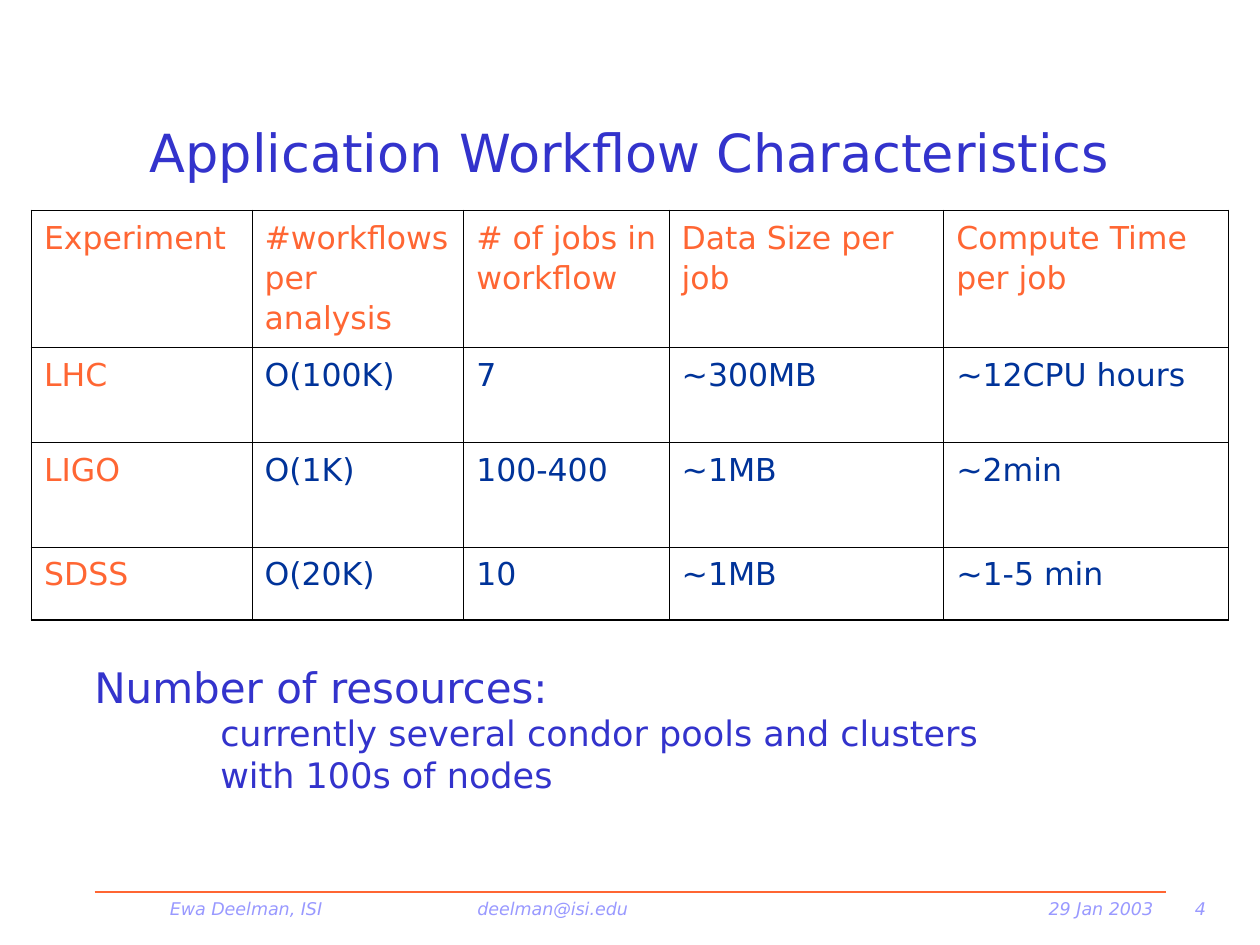
from lxml import etree
from pptx import Presentation
from pptx.dml.color import RGBColor
from pptx.enum.shapes import MSO_CONNECTOR
from pptx.enum.text import MSO_ANCHOR, PP_ALIGN
from pptx.oxml.ns import qn
from pptx.util import Inches, Pt

FONT = "DejaVu Sans"
BLUE = RGBColor(0x33, 0x33, 0xCC)
NAVY = RGBColor(0x00, 0x33, 0x99)
ORANGE = RGBColor(0xFF, 0x66, 0x33)
LAVENDER = RGBColor(0x99, 0x99, 0xFF)
BLACK = RGBColor(0, 0, 0)
LEFT, CENTER, RIGHT = PP_ALIGN.LEFT, PP_ALIGN.CENTER, PP_ALIGN.RIGHT
TOP, BOTTOM = MSO_ANCHOR.TOP, MSO_ANCHOR.BOTTOM
STRAIGHT = MSO_CONNECTOR.STRAIGHT

TITLE = "Application Workflow Characteristics"
TABLE_ROWS = [
    ["Experiment", "#workflows per analysis", "# of jobs in workflow",
     "Data Size per job", "Compute Time per job"],
    ["LHC", "O(100K)", "7", "~300MB", "~12CPU hours"],
    ["LIGO", "O(1K)", "100-400", "~1MB", "~2min"],
    ["SDSS", "O(20K)", "10", "~1MB", "~1-5 min"],
]
COLUMN_WIDTHS = [1.75, 1.68, 1.63, 2.18, 2.26]
ROW_HEIGHTS = [1.09, 0.75, 0.83, 0.58]
OUTER_BORDER, INNER_BORDER = 1.08, 0.45
# text, size, left indent in inches
RESOURCES = [
    ("Number of resources:", 24, 0),
    ("currently several condor pools and clusters", 20, 1),
    ("with 100s of nodes", 20, 1),
]
AUTHOR = "Ewa Deelman, ISI\tdeelman@isi.edu"
EMAIL_TAB = 2.44
# text, box, alignment
FOOTERS = [
    (AUTHOR, (1.25, 7.08, 6.83, 0.42), LEFT),
    ("4", (9.17, 7.08, 0.5, 0.33), RIGHT),
    ("29 Jan 2003", (8, 7.08, 1.25, 0.42), RIGHT),
]


def style(paragraph, size, color, italic=False):
    font = paragraph.font
    font.name, font.size, font.italic = FONT, Pt(size), italic
    font.bold = False
    font.color.rgb = color


def add_text_frame(slide, box, anchor=TOP):
    frame = slide.shapes.add_textbox(*map(Inches, box)).text_frame
    frame.word_wrap = True
    frame.vertical_anchor = anchor
    return frame


def add_tab_stop(paragraph, position):
    properties = paragraph._p.get_or_add_pPr()
    tabs = etree.SubElement(properties, qn("a:tabLst"))
    etree.SubElement(tabs, qn("a:tab"), pos=str(Inches(position)), algn="l")


def set_borders(cell, widths):
    properties = cell._tc.get_or_add_tcPr()
    for side, width in widths.items():
        line = etree.SubElement(properties, qn(f"a:ln{side}"), w=str(Pt(width)))
        fill = etree.SubElement(line, qn("a:solidFill"))
        etree.SubElement(fill, qn("a:srgbClr"), val=str(BLACK))


def add_table(slide):
    row_count, column_count = len(ROW_HEIGHTS), len(COLUMN_WIDTHS)
    table = slide.shapes.add_table(
        row_count, column_count, Inches(0.25), Inches(1.67),
        Inches(sum(COLUMN_WIDTHS)), Inches(sum(ROW_HEIGHTS))).table
    table.first_row = table.horz_banding = False
    for column, width in zip(table.columns, COLUMN_WIDTHS):
        column.width = Inches(width)
    for row, height in zip(table.rows, ROW_HEIGHTS):
        row.height = Inches(height)
    for r, texts in enumerate(TABLE_ROWS):
        for c, text in enumerate(texts):
            cell = table.cell(r, c)
            on_edge = {"L": c == 0, "R": c == column_count - 1,
                       "T": r == 0, "B": r == row_count - 1}
            set_borders(cell, {side: OUTER_BORDER if outer else INNER_BORDER
                               for side, outer in on_edge.items()})
            cell.fill.background()
            cell.text = text
            paragraph = cell.text_frame.paragraphs[0]
            paragraph.line_spacing = 1.1
            style(paragraph, 18, ORANGE if r == 0 or c == 0 else NAVY)


def add_resources(slide):
    frame = add_text_frame(slide, (0.65, 5.2, 8.43, 1.24))
    for index, (text, size, indent) in enumerate(RESOURCES):
        paragraph = frame.add_paragraph() if index else frame.paragraphs[0]
        paragraph.text = text
        paragraph._p.get_or_add_pPr().set("marL", str(Inches(indent)))
        style(paragraph, size, BLUE)


def add_footer(slide):
    rule = slide.shapes.add_connector(
        STRAIGHT, Inches(0.75), Inches(7.08), Inches(9.25), Inches(7.08))
    rule.line.color.rgb = ORANGE
    rule.line.width = Pt(0.75)
    etree.SubElement(rule._element.spPr, qn("a:effectLst"))
    for text, box, alignment in FOOTERS:
        paragraph = add_text_frame(slide, box).paragraphs[0]
        paragraph.text = text
        paragraph.alignment = alignment
        if "\t" in text:
            add_tab_stop(paragraph, EMAIL_TAB)
        style(paragraph, 10, LAVENDER, italic=True)


def main():
    presentation = Presentation()
    presentation.slide_width, presentation.slide_height = Inches(10), Inches(7.5)
    slide = presentation.slides.add_slide(presentation.slide_layouts[6])
    title = add_text_frame(slide, (0.75, 0.67, 8.5, 0.83), BOTTOM).paragraphs[0]
    title.text = TITLE
    title.alignment = CENTER
    style(title, 30, BLUE)
    add_table(slide)
    add_resources(slide)
    add_footer(slide)
    presentation.save("out.pptx")


if __name__ == "__main__":
    main()
